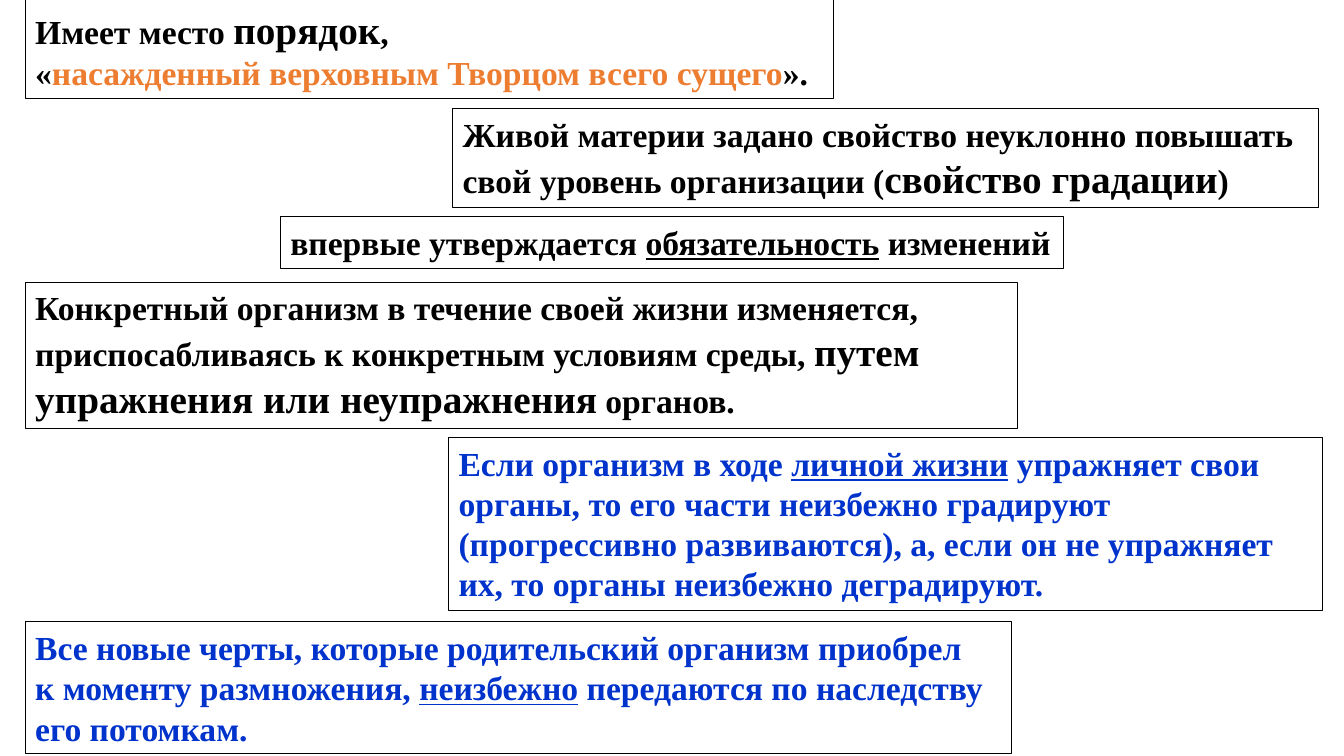
from pptx import Presentation
from pptx.dml.color import RGBColor
from pptx.enum.text import MSO_AUTO_SIZE
from pptx.util import Inches, Pt

FIT_SHAPE = MSO_AUTO_SIZE.SHAPE_TO_FIT_TEXT
SLIDE_W, SLIDE_H = Inches(13.33), Inches(7.5)
FONT = "Times New Roman"
BLACK, BLUE, ORANGE = "000000", "0033CC", "ED7D31"

# Run styles that differ from the plain 24 pt text
LARGE = {"size": 28}
UNDERLINED = {"underline": True}
ACCENT = {"color": ORANGE}

# Each statement: (left, top, width, height) in percent of the slide,
# colour, wrapping, paragraphs made of (text, style) runs
STATEMENTS = [
    ((1.88, 0, 60.17, 13.07), BLACK, False, [
        [("Имеет место ", {}), ("порядок", LARGE), (",", {})],
        [("«", {}), ("насажденный верховным Творцом всего сущего", ACCENT),
         ("».", {})],
    ]),
    ((33.68, 14.4, 64.44, 13.07), BLACK, False, [
        [("Живой материи задано свойство неуклонно повышать", {})],
        [("свой уровень организации (", {}), ("свойство градации", LARGE),
         (")", {})],
    ]),
    ((20.86, 28.67, 58.29, 6.8), BLACK, False, [
        [("впервые утверждается ", {}), ("обязательность", UNDERLINED),
         (" изменений", {})],
    ]),
    ((1.88, 37.33, 73.82, 19.33), BLACK, True, [
        [("Конкретный организм в течение своей жизни изменяется, "
          "приспосабливаясь к конкретным условиям среды, ", {}),
         ("путем упражнения или неупражнения", LARGE), (" органов.", {})],
    ]),
    ((33.38, 57.87, 65.04, 22.93), BLUE, True, [
        [("Если организм в ходе ", {}), ("личной жизни", UNDERLINED),
         (" упражняет свои органы, то его части неизбежно градируют "
          "(прогрессивно развиваются), а, если он не упражняет их, "
          "то органы неизбежно деградируют.", {})],
    ]),
    ((1.88, 82.27, 73.37, 17.47), BLUE, False, [
        [("Все новые черты, которые родительский организм приобрел", {})],
        [("к моменту размножения, ", {}), ("неизбежно", UNDERLINED),
         (" передаются по наследству", {})],
        [("его потомкам.", {})],
    ]),
]


def rgb(value):
    return RGBColor.from_string(value)


def add_run(p, text, color, size=24, underline=None):
    r = p.add_run()
    r.text = text
    r.font.name = FONT
    r.font.size = Pt(size)
    r.font.bold = True
    r.font.underline = underline
    r.font.color.rgb = rgb(color)


def add_statement(slide, box, color, wrap, paragraphs):
    left, top, width, height = box
    sp = slide.shapes.add_textbox(
        int(SLIDE_W * left / 100), int(SLIDE_H * top / 100),
        int(SLIDE_W * width / 100), int(SLIDE_H * height / 100))
    sp.line.color.rgb = rgb(BLACK)
    sp.line.width = Pt(0.75)
    tf = sp.text_frame
    tf.word_wrap = wrap
    tf.auto_size = FIT_SHAPE
    for i, runs in enumerate(paragraphs):
        p = tf.add_paragraph() if i else tf.paragraphs[0]
        for text, style in runs:
            add_run(p, text, **{"color": color, **style})


def main():
    prs = Presentation()
    prs.slide_width, prs.slide_height = SLIDE_W, SLIDE_H
    slide = prs.slides.add_slide(prs.slide_layouts[6])
    for statement in STATEMENTS:
        add_statement(slide, *statement)
    prs.save("out.pptx")


if __name__ == "__main__":
    main()
